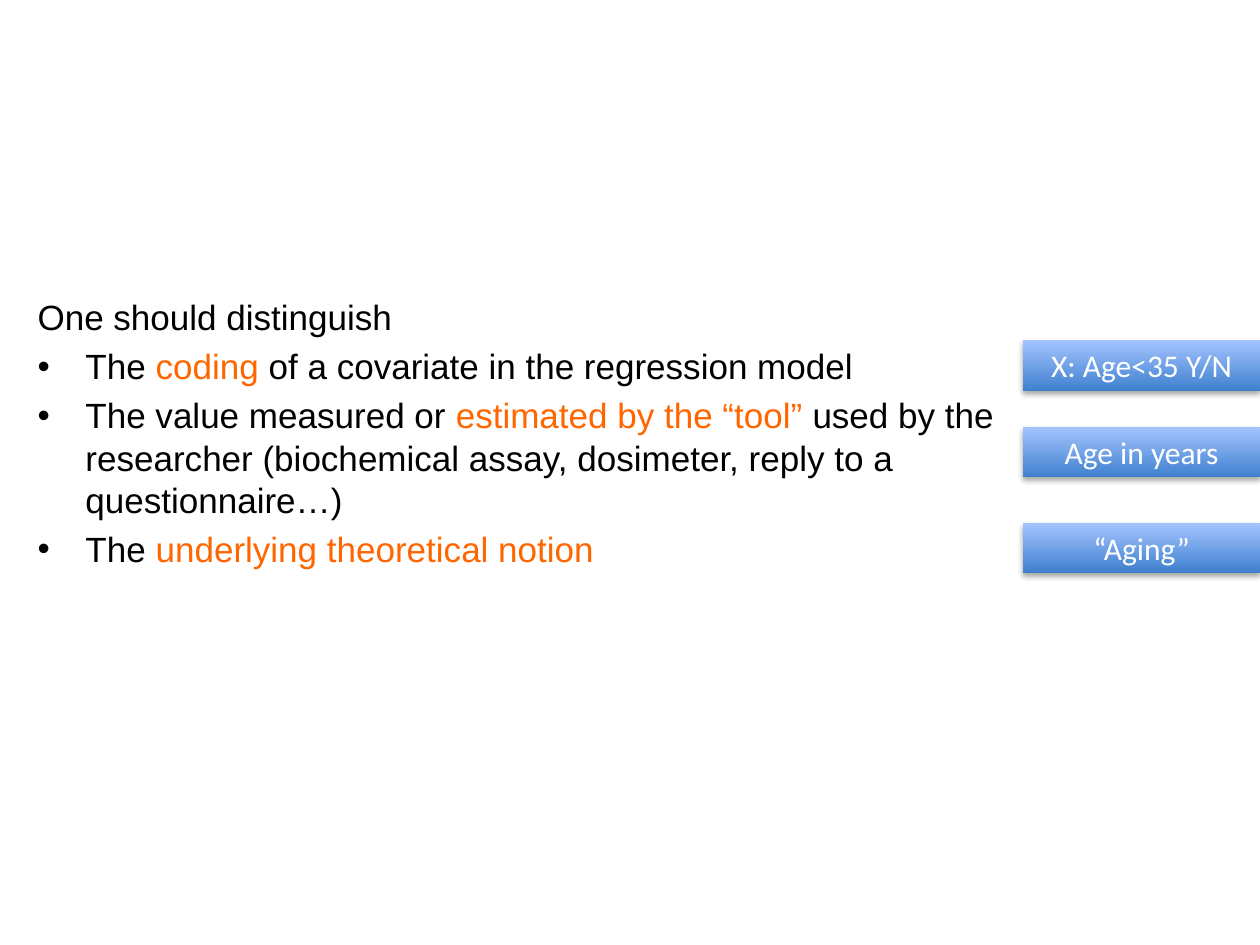
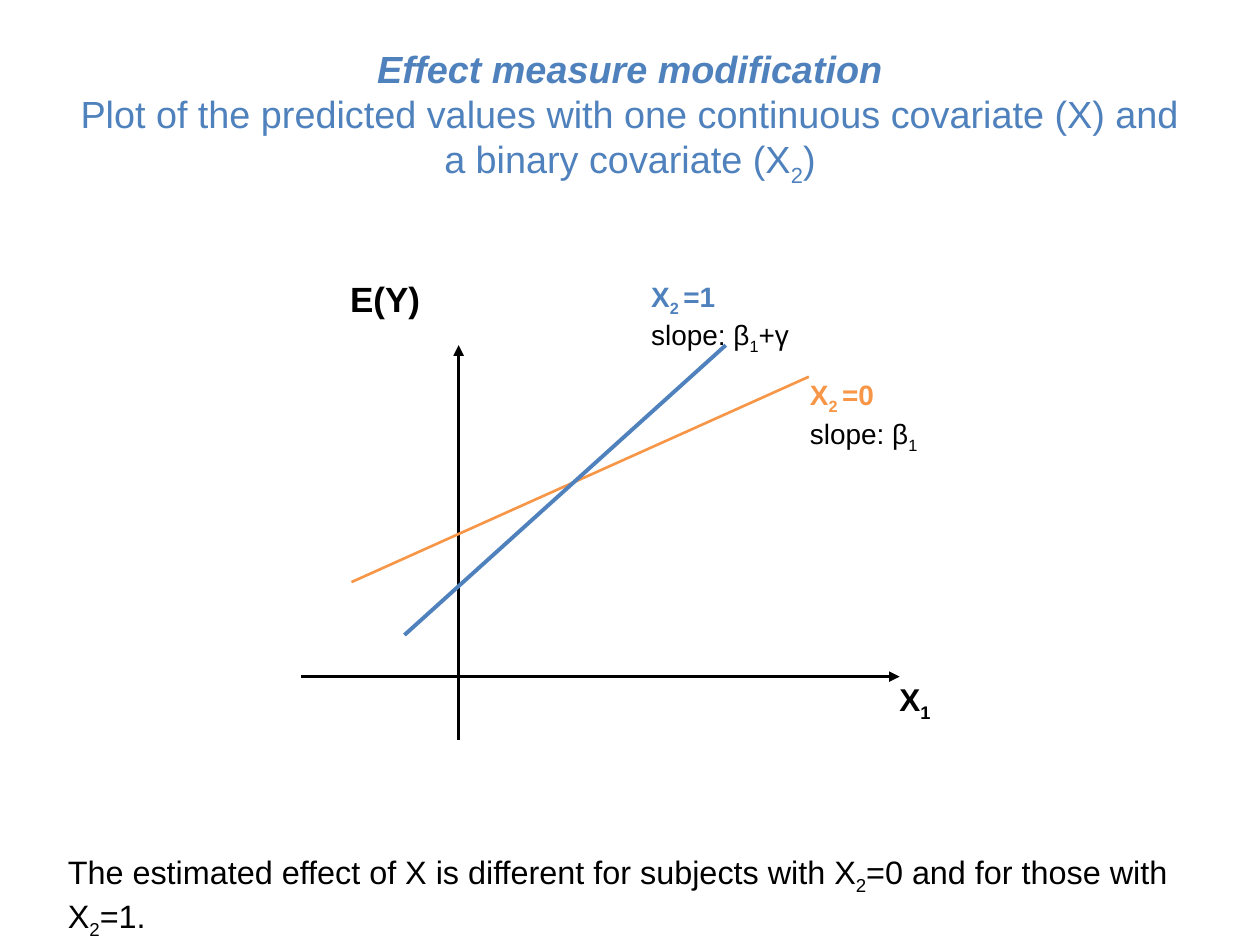
from typing import NamedTuple

from lxml.etree import SubElement
from pptx import Presentation
from pptx.dml.color import RGBColor
from pptx.enum.shapes import MSO_CONNECTOR, MSO_SHAPE
from pptx.enum.text import MSO_ANCHOR, PP_ALIGN
from pptx.oxml.ns import qn
from pptx.util import Emu, Inches, Pt

BLACK, WHITE = "000000", "FFFFFF"
BLUE, ORANGE, ACCENT = "4F81BD", "F79646", "FF6600"
TAG_BOTTOM, TAG_TOP = "3F80CE", "A4C4FF"
FONT, TAG_FONT = "Arial", "Calibri"

# The slide is a grid of 100 columns by 75 rows.
WIDTH, HEIGHT = Inches(10), Inches(7.5)
COLS, ROWS = 100, 75


class Run(NamedTuple):
    text: str
    color: str = BLACK
    bold: bool = False
    italic: bool = False
    sub: bool = False


class Para(NamedTuple):
    runs: list[Run]
    bullet: bool = False


class Box(NamedTuple):
    col: float
    row: float
    cols: float
    rows: float


class Label(NamedTuple):
    box: Box
    paras: list[Para]
    size: float


class Line(NamedTuple):
    start: tuple[float, float]
    end: tuple[float, float]
    color: str
    width: float
    arrow: bool = False


def x(col: float) -> Emu:
    return Emu(round(WIDTH * col / COLS))


def y(row: float) -> Emu:
    return Emu(round(HEIGHT * row / ROWS))


def place(box: Box) -> tuple[Emu, Emu, Emu, Emu]:
    return x(box.col), y(box.row), x(box.cols), y(box.rows)


def rgb(color: str) -> RGBColor:
    return RGBColor.from_string(color)


def hang(p, bullet: bool) -> None:
    """Give a paragraph a hanging indent, with a bullet if asked."""
    pPr = p._p.get_or_add_pPr()
    pPr.set("marL", str(Inches(0.38)))
    pPr.set("indent", str(-Inches(0.38)))
    if bullet:
        SubElement(pPr, qn("a:buFont")).set("typeface", FONT)
        SubElement(pPr, qn("a:buChar")).set("char", "•")


def write(tf, paras: list[Para], size: float, font: str = FONT,
          align=PP_ALIGN.LEFT, hanging: bool = False) -> None:
    tf.word_wrap = True
    for i, para in enumerate(paras):
        p = tf.add_paragraph() if i else tf.paragraphs[0]
        p.alignment = align
        if hanging:
            if i:
                p.space_before = Pt(size * 0.2)
            hang(p, para.bullet)
        for run in para.runs:
            if run.text == "\n":
                p.add_line_break()
                continue
            r = p.add_run()
            r.text = run.text
            r.font.name, r.font.size = font, Pt(size)
            r.font.bold, r.font.italic = run.bold, run.italic
            r.font.color.rgb = rgb(run.color)
            if run.sub:
                r.font._element.set("baseline", "-25000")


def add_label(s, label: Label, **style):
    tf = s.shapes.add_textbox(*place(label.box)).text_frame
    write(tf, label.paras, label.size, **style)
    return tf


def add_tag(s, text: str, row: float) -> None:
    """Draw a shaded, shadowed tag at the right edge of the slide."""
    sp = s.shapes.add_shape(MSO_SHAPE.RECTANGLE, *place(Box(81.2, row, 18.8, 4)))
    sp.line.fill.background()
    sp.fill.gradient()
    sp.fill.gradient_angle = 90
    for stop, color in zip(sp.fill.gradient_stops, (TAG_BOTTOM, TAG_TOP)):
        stop.color.rgb = rgb(color)
    sp.shadow.inherit = False
    effects = sp._element.spPr.find(qn("a:effectLst"))
    shadow = SubElement(effects, qn("a:outerShdw"), blurRad=str(Pt(3.1)),
                        dist=str(Pt(1.8)), dir="5400000", rotWithShape="0")
    shade = SubElement(shadow, qn("a:srgbClr"), val=BLACK)
    SubElement(shade, qn("a:alpha"), val="35000")
    write(sp.text_frame, [Para([Run(text, WHITE)])], 18, TAG_FONT, PP_ALIGN.CENTER)


def add_line(s, line: Line) -> None:
    (x1, y1), (x2, y2) = line.start, line.end
    c = s.shapes.add_connector(MSO_CONNECTOR.STRAIGHT, x(x1), y(y1), x(x2), y(y2))
    c.line.color.rgb = rgb(line.color)
    c.line.width = Pt(line.width)
    if line.arrow:
        SubElement(c.line._get_or_add_ln(), qn("a:tailEnd"), type="triangle")
    SubElement(c._element.spPr, qn("a:effectLst"))


def x_sub(index: str, color: str = BLACK, bold: bool = False) -> list[Run]:
    return [Run("X", color, bold), Run(index, color, bold, sub=True)]


def group_label(box: Box, value: str, color: str, extra: str = "") -> Label:
    """Name a line by its X2 value and its slope."""
    slope = [Run("slope: β"), Run("1", sub=True)]
    if extra:
        slope.append(Run(extra))
    name = x_sub("2 ", color, True) + [Run(f"={value}", color, True)]
    return Label(box, [Para(name), Para(slope)], 16)


def distinguish_slide(prs) -> None:
    s = prs.slides.add_slide(prs.slide_layouts[6])
    add_label(s, Label(Box(2, 23, 90, 44), [
        Para([Run("One should distinguish")]),
        Para([Run("The "), Run("coding", ACCENT),
              Run(" of a covariate in the regression model")], True),
        Para([Run("The value measured or "),
              Run("estimated by the “tool” ", ACCENT),
              Run("used by the researcher (biochemical assay, dosimeter, "
                  "reply to a questionnaire…)")], True),
        Para([Run("The "), Run("underlying theoretical notion", ACCENT)], True),
    ], 20), hanging=True)
    for text, row in (("X: Age<35 Y/N", 27), ("Age in years", 33.9), ("“Aging”", 41.5)):
        add_tag(s, text, row)


def modification_slide(prs) -> None:
    s = prs.slides.add_slide(prs.slide_layouts[6])
    title = Label(Box(5, 3, 90, 12.5), [Para([
        Run("Effect measure modification", BLUE, True, True), Run("\n"),
        Run("Plot of the predicted values with one continuous covariate (X) "
            "and a binary covariate (", BLUE),
        *x_sub("2", BLUE), Run(")", BLUE)])], 21.6)
    # The last X of the title's long run belongs to the X2 pair.
    add_label(s, title, align=PP_ALIGN.CENTER).vertical_anchor = MSO_ANCHOR.MIDDLE

    origin_col, origin_row = 36.4, 53.7
    for line in (
        Line((origin_col, 58.7), (origin_col, 27.4), BLACK, 2, True),
        Line((23.9, origin_row), (71.4, origin_row), BLACK, 1.5, True),
        Line((27.9, 46.2), (64.2, 29.9), ORANGE, 1.5),
        Line((32.1, 50.4), (57.6, 27.4), BLUE, 2.25),
    ):
        add_line(s, line)

    for label in (
        Label(Box(26.8, 21.5, 13.6, 8), [Para([Run("E(Y)", bold=True)])], 20),
        Label(Box(70.4, 53.5, 6.6, 5.6), [Para(x_sub("1", bold=True))], 18),
        group_label(Box(50.7, 21.7, 14.2, 6), "1", BLUE, "+γ"),
        group_label(Box(63.3, 29.5, 11.2, 11.2), "0", ORANGE),
        Label(Box(4.4, 67.1, 90, 6.5), [Para([
            Run("The estimated effect of X is different for subjects with "),
            *x_sub("2"), Run("=0 and for those with "),
            *x_sub("2"), Run("=1.")])], 18.5),
    ):
        add_label(s, label)


def main() -> None:
    prs = Presentation()
    prs.slide_width, prs.slide_height = WIDTH, HEIGHT
    distinguish_slide(prs)
    modification_slide(prs)
    prs.save("out.pptx")


if __name__ == "__main__":
    main()
